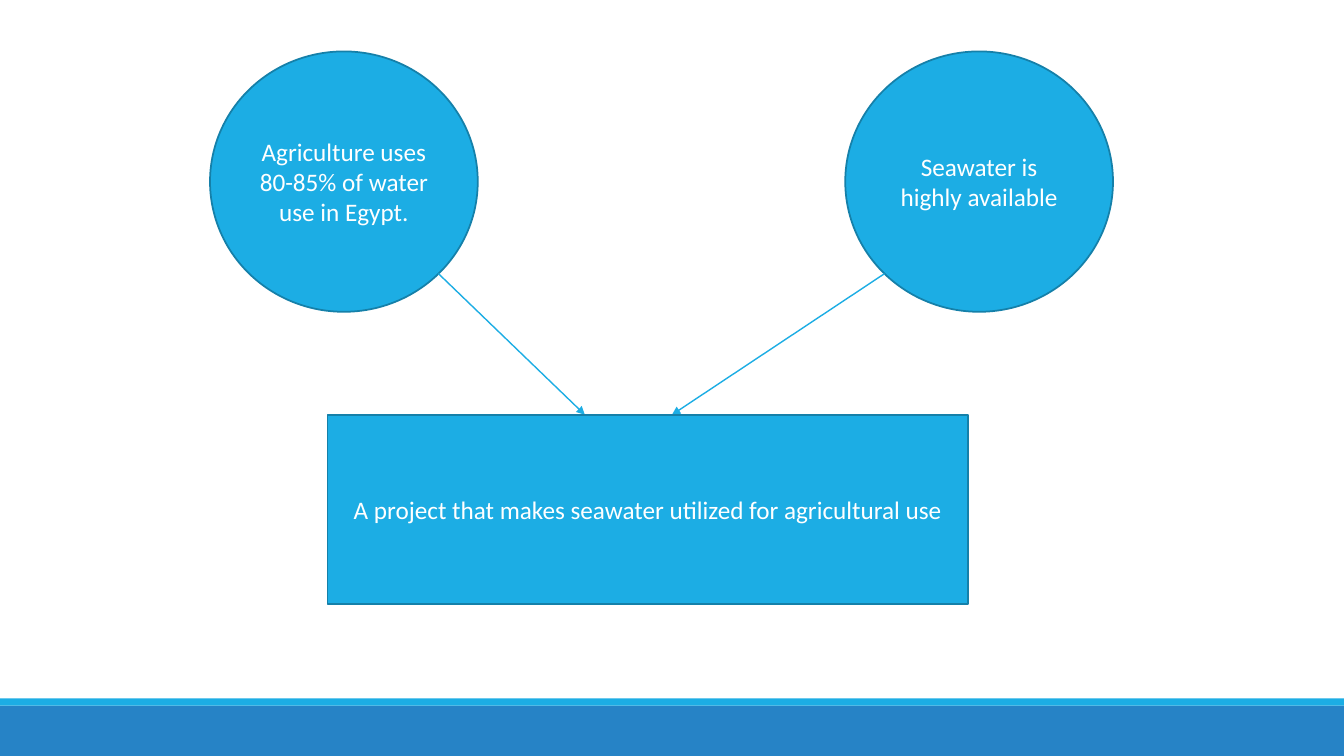
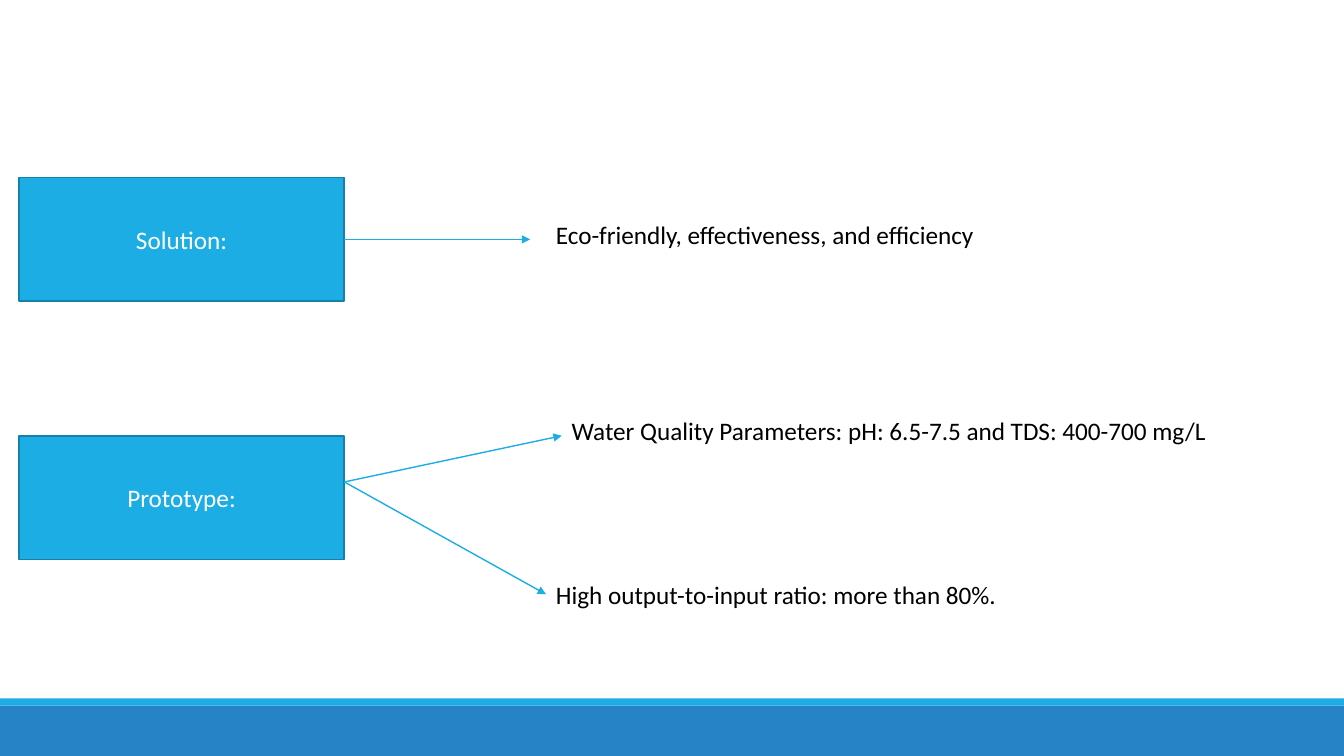
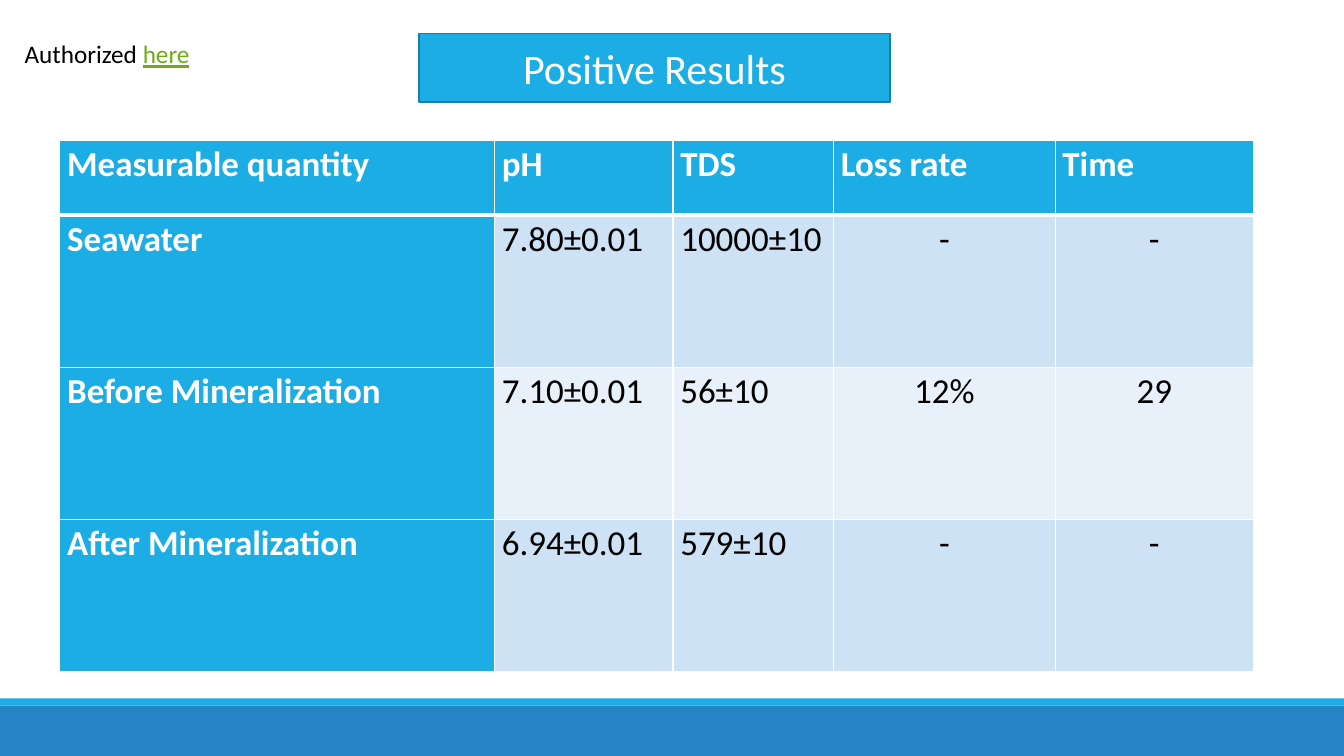
from dataclasses import dataclass
from math import cos, pi

from lxml import etree
from pptx import Presentation
from pptx import util as u
from pptx.dml.color import RGBColor
from pptx.enum import shapes, text
from pptx.oxml import ns


@dataclass(frozen=True)
class Theme:
    """Colours, font and type sizes of the deck."""
    white: str = "FFFFFF"
    black: str = "000000"
    accent: str = "1CADE4"
    outline: str = "1580A9"
    band: str = "2683C6"
    green: str = "6EAC1C"
    stripes: tuple = ("CDE3F5", "E8F1FA")
    font: str = "Calibri"
    body: int = 18
    cell: int = 25
    title: int = 30


T = Theme()
W, H = 1280, 720
RECT, OVAL = shapes.MSO_SHAPE.RECTANGLE, shapes.MSO_SHAPE.OVAL
CENTER = text.PP_ALIGN.CENTER


def px(n):
    """Turn px into EMU."""
    return u.Emu(round(n * 9525))


def rgb(c):
    """Turn a hex string into a colour."""
    return RGBColor.from_string(c)


def style(r, size, color, bold=False, underline=False):
    """Format one run."""
    r.font.name, r.font.size = T.font, u.Pt(size)
    r.font.bold, r.font.underline = bold, underline
    r.font.color.rgb = rgb(color)


def add_block(s, kind, box, fill, line=None):
    """Add a flat preset shape."""
    sp = s.shapes.add_shape(kind, *map(px, box))
    sp.shadow.inherit = False
    sp.fill.solid()
    sp.fill.fore_color.rgb = rgb(fill)
    if line:
        sp.line.color.rgb = rgb(line)
        sp.line.width = u.Pt(1.25)
    else:
        sp.line.fill.background()
    return sp


def add_label(s, kind, box, words, size=T.body):
    """Add a filled shape with centred white text."""
    sp = add_block(s, kind, box, T.accent, T.outline)
    tf = sp.text_frame
    tf.text = words
    tf.word_wrap = True
    tf.vertical_anchor = text.MSO_ANCHOR.MIDDLE
    p = tf.paragraphs[0]
    p.alignment = CENTER
    style(p.runs[0], size, T.white)
    return sp


def add_note(s, box, words):
    """Add a text box of plain black text."""
    tf = s.shapes.add_textbox(*map(px, box)).text_frame
    tf.word_wrap = True
    tf.auto_size = text.MSO_AUTO_SIZE.SHAPE_TO_FIT_TEXT
    tf.text = words
    p = tf.paragraphs[0]
    style(p.runs[0], T.body, T.black)
    return p


def add_arrow(s, start, end):
    """Add a straight arrow between two points."""
    c = s.shapes.add_connector(shapes.MSO_CONNECTOR.STRAIGHT, *map(px, start + end))
    c.line.color.rgb = rgb(T.accent)
    c.line.width = u.Pt(1)
    etree.SubElement(c.line._get_or_add_ln(), ns.qn("a:tailEnd"), type="triangle")
    etree.SubElement(c._element.spPr, ns.qn("a:effectLst"))
    return c


def new_slide(prs):
    """Add a blank slide with the footer bands."""
    s = prs.slides.add_slide(prs.slide_layouts[6])
    add_block(s, RECT, (0, 672, W, 48), T.band)
    add_block(s, RECT, (0, 665, W, 7), T.accent)
    return s


def add_premise(s, box, words, side, target):
    """Add a circle and an arrow from its lower left (-1) or right (1) edge."""
    x, y, w, h = box
    add_label(s, OVAL, box, words)
    k = cos(pi / 4) / 2
    add_arrow(s, (x + w / 2 + side * k * w, y + h / 2 + k * h), target)


def idea_slide(prs):
    """Show two premises leading to the project."""
    s = new_slide(prs)
    x, y, w, h = 312, 395, 610, 180
    add_premise(s, (200, 49, 255, 248), "Agriculture uses 80-85% of water use in Egypt.",
                1, (x + 245, y))
    add_premise(s, (805, 49, 255, 248), "Seawater is highly available", -1, (x + 328, y))
    add_label(s, RECT, (x, y, w, h),
              "A project that makes seawater utilized for agricultural use")


def add_topic(s, box, words, points, exit_y=None):
    """Add a topic box with arrows to its points, given as offsets from the box."""
    x, y, w, h = box
    sp = add_label(s, RECT, box, words)
    for tip, note, width, words in points:
        start_y = y + (h / 2 if exit_y is None else exit_y)
        c = add_arrow(s, (x + w, start_y), (x + tip[0], y + tip[1]))
        if exit_y is None:
            c.begin_connect(sp, 3)
        add_note(s, (x + note[0], y + note[1], width, 38), words)


def criteria_slide(prs):
    """Show what the solution and the prototype must meet."""
    s = new_slide(prs)
    add_topic(s, (18, 169, 310, 118), "Solution:", [
        ((487, 59), (502, 35), 553, "Eco-friendly, effectiveness, and efficiency")])
    add_topic(s, (18, 415, 310, 118), "Prototype:", [
        ((517, 0), (517, -24), 626,
         "Water Quality Parameters: pH: 6.5-7.5 and TDS: 400-700 mg/L"),
        ((502, 151), (502, 132), 614, "High output-to-input ratio: more than 80%.")],
        exit_y=44)


def add_borders(cell, top, bottom):
    """Draw white cell borders, with top and bottom widths in points."""
    tcPr = cell._tc.get_or_add_tcPr()
    for side, width in (("L", 1), ("R", 1), ("T", top), ("B", bottom)):
        ln = etree.SubElement(tcPr, ns.qn("a:ln" + side), w=str(u.Pt(width)))
        fill = etree.SubElement(ln, ns.qn("a:solidFill"))
        etree.SubElement(fill, ns.qn("a:srgbClr"), val=T.white)


def fill_cell(cell, i, j, words):
    """Fill and format the cell in row i, column j."""
    head = i == 0 or j == 0
    add_borders(cell, 3 if i == 1 else 1, 3 if i == 0 else 1)
    cell.fill.solid()
    cell.fill.fore_color.rgb = rgb(T.accent if head else T.stripes[(i - 1) % 2])
    cell.margin_left = cell.margin_right = px(7)
    cell.margin_top = cell.margin_bottom = 0
    cell.text_frame.text = words
    p = cell.text_frame.paragraphs[0]
    p.line_spacing = 1.07
    if i and j > 2:
        p.alignment = CENTER
    style(p.runs[0], T.cell, T.white if head else T.black, bold=head)


def add_results(s, x, y, cols, rows, data):
    """Add the table of measurements."""
    box = (x, y, sum(cols), sum(rows))
    table = s.shapes.add_table(len(rows), len(cols), *map(px, box)).table
    for col, w in zip(table.columns, cols):
        col.width = px(w)
    for i, (row, h) in enumerate(zip(table.rows, rows)):
        row.height = px(h)
        for j, words in enumerate(data[i]):
            fill_cell(table.cell(i, j), i, j, words)


def results_slide(prs):
    """Show the measured results."""
    s = new_slide(prs)
    add_results(s, 57, 134, (414, 170, 153, 211, 189), (71, 145, 145, 145), (
        ("Measurable quantity", "pH", "TDS", "Loss rate", "Time"),
        ("Seawater", "7.80±0.01", "10000±10", "-", "-"),
        ("Before Mineralization", "7.10±0.01", "56±10", "12%", "29"),
        ("After Mineralization", "6.94±0.01", "579±10", "-", "-")))
    add_label(s, RECT, (399, 32, 449, 65), "Positive Results", T.title)
    p = add_note(s, (14, 32, 292, 38), "Authorized ")
    r = p.add_run()
    r.text = "here"
    style(r, T.body, T.green, underline=True)


def main():
    """Build and save the deck."""
    prs = Presentation()
    prs.slide_width, prs.slide_height = px(W), px(H)
    idea_slide(prs)
    criteria_slide(prs)
    results_slide(prs)
    prs.save("out.pptx")


if __name__ == "__main__":
    main()
